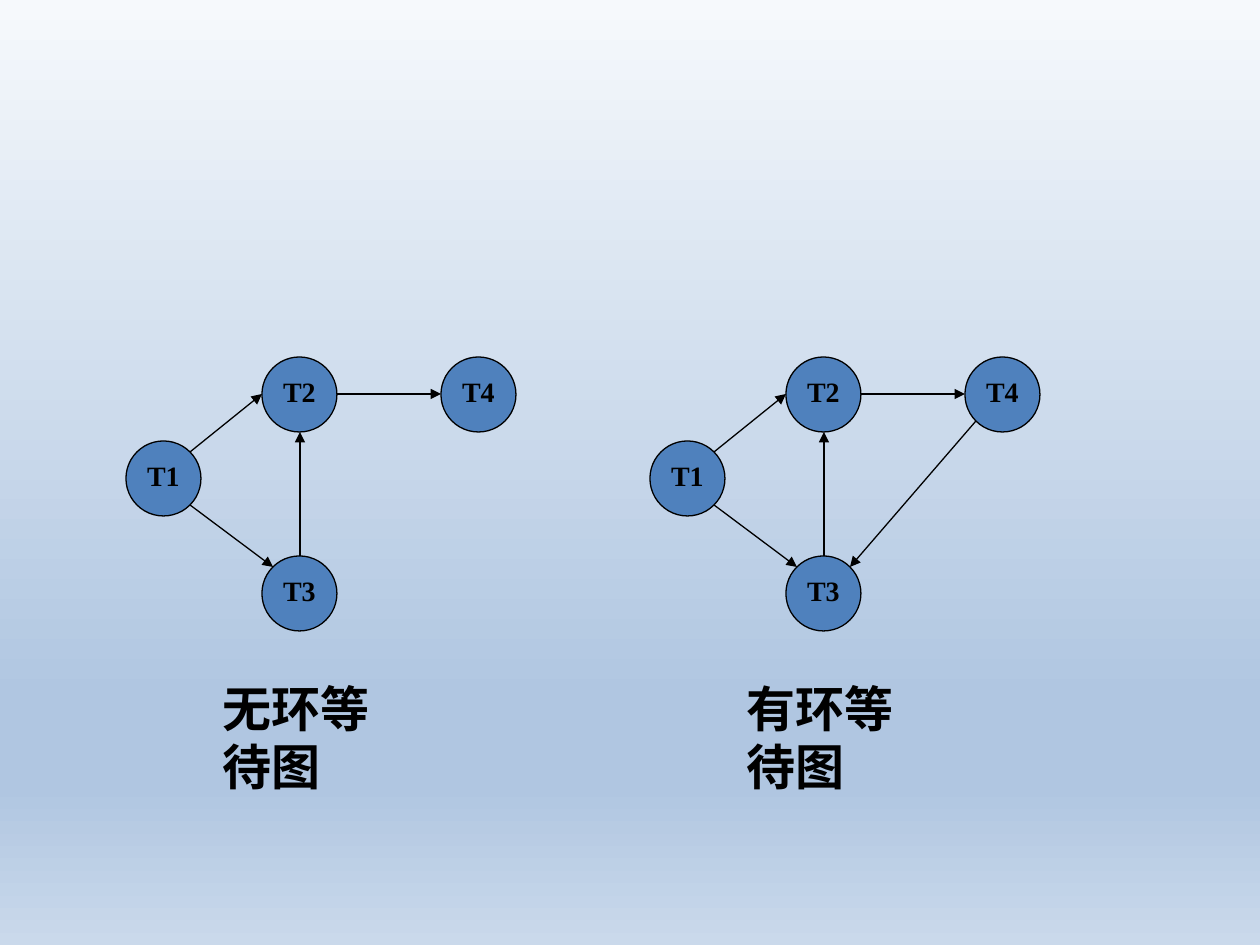
from copy import deepcopy
from math import cos, radians, sin

from lxml import etree
from pptx import Presentation
from pptx import util as u
from pptx.dml.color import RGBColor
from pptx.enum import shapes, text
from pptx.oxml.ns import qn

PX = u.Inches(1) // 126
THEME = {
    "font": "Times New Roman",
    "ink": RGBColor.from_string("000000"),
    "node": RGBColor.from_string("4F81BD"),
    "background": [(0, "F6F9FC"), (74, "B0C6E1"), (83, "B0C6E1"), (100, "CAD9EB")],
    "node_size": u.Pt(16),
    "caption_size": u.Pt(28),
    "line_width": u.Pt(0.75),
}
DIAMETER = 75
NODES = {"T1": (126, 441), "T4": (441, 357), "T3": (262, 556), "T2": (262, 357)}
WAITS = [
    ("T1", 45, "T2", 180),
    ("T2", 0, "T4", 180),
    ("T1", -45, "T3", 135),
    ("T3", 90, "T2", -90),
]
CYCLE_WAIT = ("T4", -135, "T3", 45)
GRAPHS = [(0, "无环等待图", WAITS), (524, "有环等待图", WAITS + [CYCLE_WAIT])]


def write(shape, content, size, frame_format):
    frame = shape.text_frame
    for name, value in frame_format.items():
        setattr(frame, name, value)
    paragraph = frame.paragraphs[0]
    paragraph.text = content
    font = paragraph.runs[0].font
    for name, value in {"name": THEME["font"], "size": size, "bold": True}.items():
        setattr(font, name, value)
    font.color.rgb = THEME["ink"]
    return paragraph


def rim_point(node, angle):
    left, top = NODES[node]
    radius = DIAMETER / 2
    x = left + radius + radius * cos(radians(angle))
    y = top + radius - radius * sin(radians(angle))
    return round(x), round(y)


presentation = Presentation()
presentation.slide_width = 1260 * PX
presentation.slide_height = 945 * PX
slide = presentation.slides.add_slide(presentation.slide_layouts[6])

background = slide.background.fill
background.gradient()
background.gradient_angle = 270
stops = slide.element.find(".//" + qn("a:gsLst"))
template = deepcopy(stops[0])
for stop in list(stops):
    stops.remove(stop)
for position, color in THEME["background"]:
    stops.append(deepcopy(template))
    stop = background.gradient_stops[-1]
    stop.position = position / 100
    stop.color.rgb = RGBColor.from_string(color)

for offset, caption, waits in GRAPHS:
    graph = slide.shapes.add_group_shape().shapes

    for name, (left, top) in NODES.items():
        node = graph.add_shape(
            shapes.MSO_SHAPE.OVAL,
            (left + offset) * PX, top * PX, DIAMETER * PX, DIAMETER * PX,
        )
        node.shadow.inherit = False
        node.fill.solid()
        node.fill.fore_color.rgb = THEME["node"]
        node.line.color.rgb = THEME["ink"]
        node.line.width = THEME["line_width"]
        paragraph = write(node, name, THEME["node_size"], {
            "word_wrap": False,
            "vertical_anchor": text.MSO_ANCHOR.MIDDLE,
            "margin_top": 0,
            "margin_bottom": 6 * PX,
        })
        paragraph.alignment = text.PP_ALIGN.CENTER

    for source, source_angle, target, target_angle in waits:
        start_x, start_y = rim_point(source, source_angle)
        end_x, end_y = rim_point(target, target_angle)
        arrow = graph.add_connector(
            shapes.MSO_CONNECTOR.STRAIGHT,
            (start_x + offset) * PX, start_y * PX, (end_x + offset) * PX, end_y * PX,
        )
        arrow.line.color.rgb = THEME["ink"]
        arrow.line.width = THEME["line_width"]
        properties = arrow.element.spPr
        line = properties.find(qn("a:ln"))
        etree.SubElement(line, qn("a:tailEnd"), type="triangle")
        etree.SubElement(properties, qn("a:effectLst"))

    label = graph.add_textbox((210 + offset) * PX, 672 * PX, 183 * PX, 50 * PX)
    write(label, caption, THEME["caption_size"], {
        "word_wrap": True,
        "auto_size": text.MSO_AUTO_SIZE.SHAPE_TO_FIT_TEXT,
    })

presentation.save("out.pptx")
